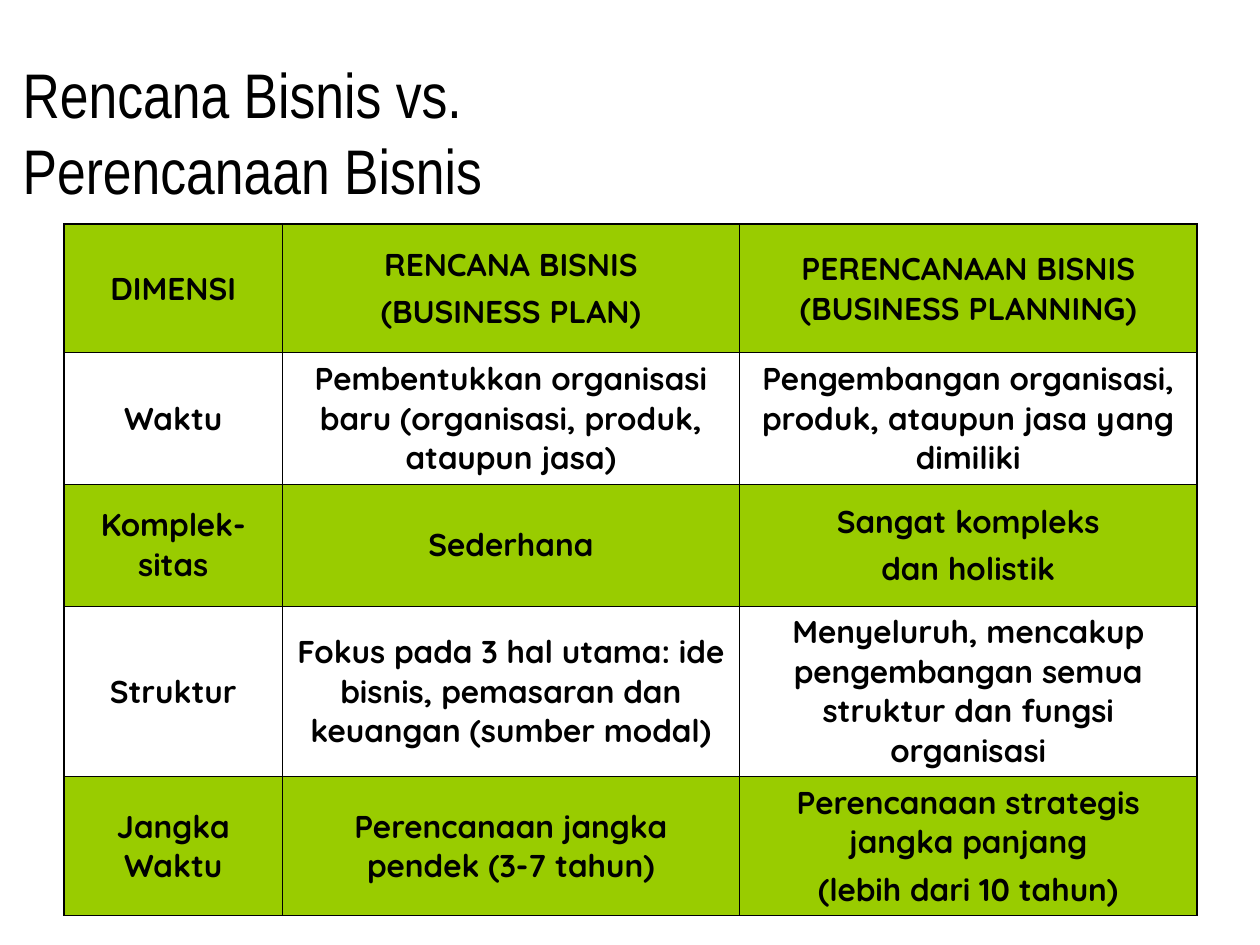
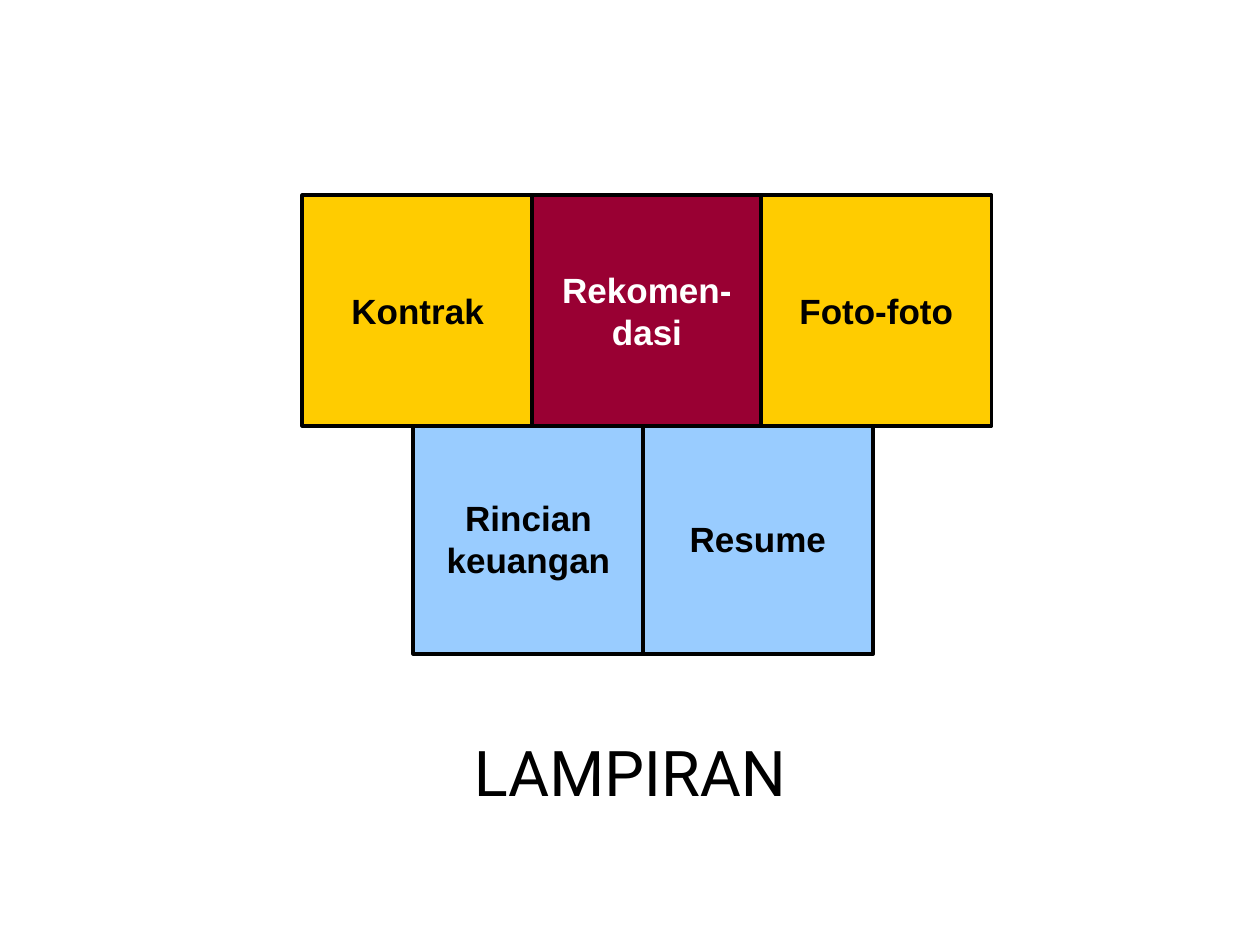
from dataclasses import dataclass

from lxml.etree import SubElement
from pptx import Presentation
from pptx.dml.color import RGBColor as Rgb
from pptx.enum.shapes import MSO_SHAPE as Shape
from pptx.enum.text import MSO_ANCHOR as Anchor
from pptx.enum.text import MSO_AUTO_SIZE as AutoSize
from pptx.enum.text import PP_ALIGN as Align
from pptx.oxml.ns import qn
from pptx.util import Inches, Pt


@dataclass(frozen=True)
class Theme:
    black: str = "000000"
    white: str = "FFFFFF"
    green: str = "99CC00"
    yellow: str = "FFCC00"
    maroon: str = "990033"
    blue: str = "99CCFF"
    title_size: float = 36
    table_size: float = 18
    box_size: float = 20
    table_font: str = "Quicksand"
    box_font: str = "Arial"
    inner_line: float = 0.45
    outer_line: float = 1.08
    box_line: float = 2.25


THEME = Theme()
TITLE_ONLY = 5

COLUMN_WIDTHS = [1.73, 3.63, 3.63]
ROW_HEIGHTS = [1.02, 1.0, 0.97, 1.3, 1.06]
# Each newline starts a paragraph
COMPARISON = [
    ["DIMENSI", "RENCANA BISNIS\n(BUSINESS PLAN)",
     "PERENCANAAN BISNIS (BUSINESS PLANNING)"],
    ["Waktu",
     "Pembentukkan organisasi baru (organisasi, produk, ataupun jasa)",
     "Pengembangan organisasi, produk, ataupun jasa yang dimiliki"],
    ["Komplek-sitas", "Sederhana", "Sangat kompleks\ndan holistik"],
    ["Struktur",
     "Fokus pada 3 hal utama: ide bisnis, pemasaran dan keuangan "
     "(sumber modal)",
     "Menyeluruh, mencakup pengembangan semua struktur dan fungsi organisasi"],
    ["Jangka Waktu", "Perencanaan jangka pendek (3-7 tahun)",
     "Perencanaan strategis jangka panjang\n(lebih dari 10 tahun)"],
]

BOX_SIDE = 1.83
BOX_STEP = 1.82


def write_text(frame, text, *, font, size, color=THEME.black, bold=False,
               align=Align.CENTER, gap=0):
    """Fill a frame: newline = paragraph, vertical tab = line break."""
    for index, line in enumerate(text.split("\n")):
        para = frame.add_paragraph() if index else frame.paragraphs[0]
        para.text = line
        para.alignment = align
        para.space_before = Pt(gap if index else 0)
        for span in para.runs:
            span.font.name = font
            span.font.size = Pt(size)
            span.font.bold = bold
            span.font.color.rgb = Rgb.from_string(color)


def add_titled_page(deck, title, left, top, width, height, *, font, align):
    page = deck.slides.add_slide(deck.slide_layouts[TITLE_ONLY])
    box = page.shapes.title
    box.left, box.top = Inches(left), Inches(top)
    box.width, box.height = Inches(width), Inches(height)
    frame = box.text_frame
    frame.auto_size = AutoSize.NONE
    frame.vertical_anchor = Anchor.MIDDLE
    write_text(frame, title, font=font, size=THEME.title_size, align=align)
    return page


def set_borders(cell, widths):
    """Border widths in the order left, right, top, bottom."""
    properties = cell._tc.get_or_add_tcPr()
    for index, (side, width) in enumerate(zip("LRTB", widths)):
        line = SubElement(properties, qn(f"a:ln{side}"), w=str(Pt(width)))
        fill = SubElement(line, qn("a:solidFill"))
        SubElement(fill, qn("a:srgbClr"), val=THEME.black)
        properties.insert(index, line)


def add_comparison(page, rows, left, top):
    last_row, last_column = len(ROW_HEIGHTS) - 1, len(COLUMN_WIDTHS) - 1
    table = page.shapes.add_table(
        len(ROW_HEIGHTS), len(COLUMN_WIDTHS), Inches(left), Inches(top),
        Inches(sum(COLUMN_WIDTHS)), Inches(sum(ROW_HEIGHTS))).table
    for column, width in zip(table.columns, COLUMN_WIDTHS):
        column.width = Inches(width)
    for row, height in zip(table.rows, ROW_HEIGHTS):
        row.height = Inches(height)

    for r, texts in enumerate(rows):
        for c, text in enumerate(texts):
            cell = table.cell(r, c)
            cell.vertical_anchor = Anchor.MIDDLE
            cell.fill.solid()
            cell.fill.fore_color.rgb = Rgb.from_string(
                THEME.white if r % 2 else THEME.green)
            outer_sides = (c == 0, c == last_column, r == 0, r == last_row)
            set_borders(cell, [THEME.outer_line if outer else THEME.inner_line
                               for outer in outer_sides])
            write_text(cell.text_frame, text, font=THEME.table_font,
                       size=THEME.table_size, bold=True, gap=4.5)


def add_box_row(page, left, top, boxes):
    """Place adjoining squares from (text, fill, text colour) entries."""
    for index, (text, fill, color) in enumerate(boxes):
        box = page.shapes.add_shape(
            Shape.RECTANGLE, Inches(left + index * BOX_STEP), Inches(top),
            Inches(BOX_SIDE), Inches(BOX_SIDE))
        box.shadow.inherit = False
        box.fill.solid()
        box.fill.fore_color.rgb = Rgb.from_string(fill)
        box.line.color.rgb = Rgb.from_string(THEME.black)
        box.line.width = Pt(THEME.box_line)
        frame = box.text_frame
        frame.word_wrap = False
        frame.vertical_anchor = Anchor.MIDDLE
        write_text(frame, text, font=THEME.box_font, size=THEME.box_size,
                   color=color, bold=True)


def main():
    deck = Presentation()
    deck.slide_width, deck.slide_height = Inches(10), Inches(7.5)

    # Plan versus planning
    page = add_titled_page(deck, "Rencana Bisnis vs.\vPerencanaan Bisnis",
                           0.08, 0.5, 6.92, 1.08,
                           font="Arial Narrow", align=Align.LEFT)
    add_comparison(page, COMPARISON, 0.51, 1.78)

    # Appendices
    page = add_titled_page(deck, "LAMPIRAN", 1.22, 5.64, 7.56, 0.96,
                           font="Roboto", align=Align.CENTER)
    add_box_row(page, 3.28, 3.36, [
        ("Rincian\nkeuangan", THEME.blue, THEME.black),
        ("Resume", THEME.blue, THEME.black),
    ])
    add_box_row(page, 2.4, 1.55, [
        ("Kontrak", THEME.yellow, THEME.black),
        ("Rekomen-\ndasi", THEME.maroon, THEME.white),
        ("Foto-foto", THEME.yellow, THEME.black),
    ])

    deck.save("out.pptx")


if __name__ == "__main__":
    main()
